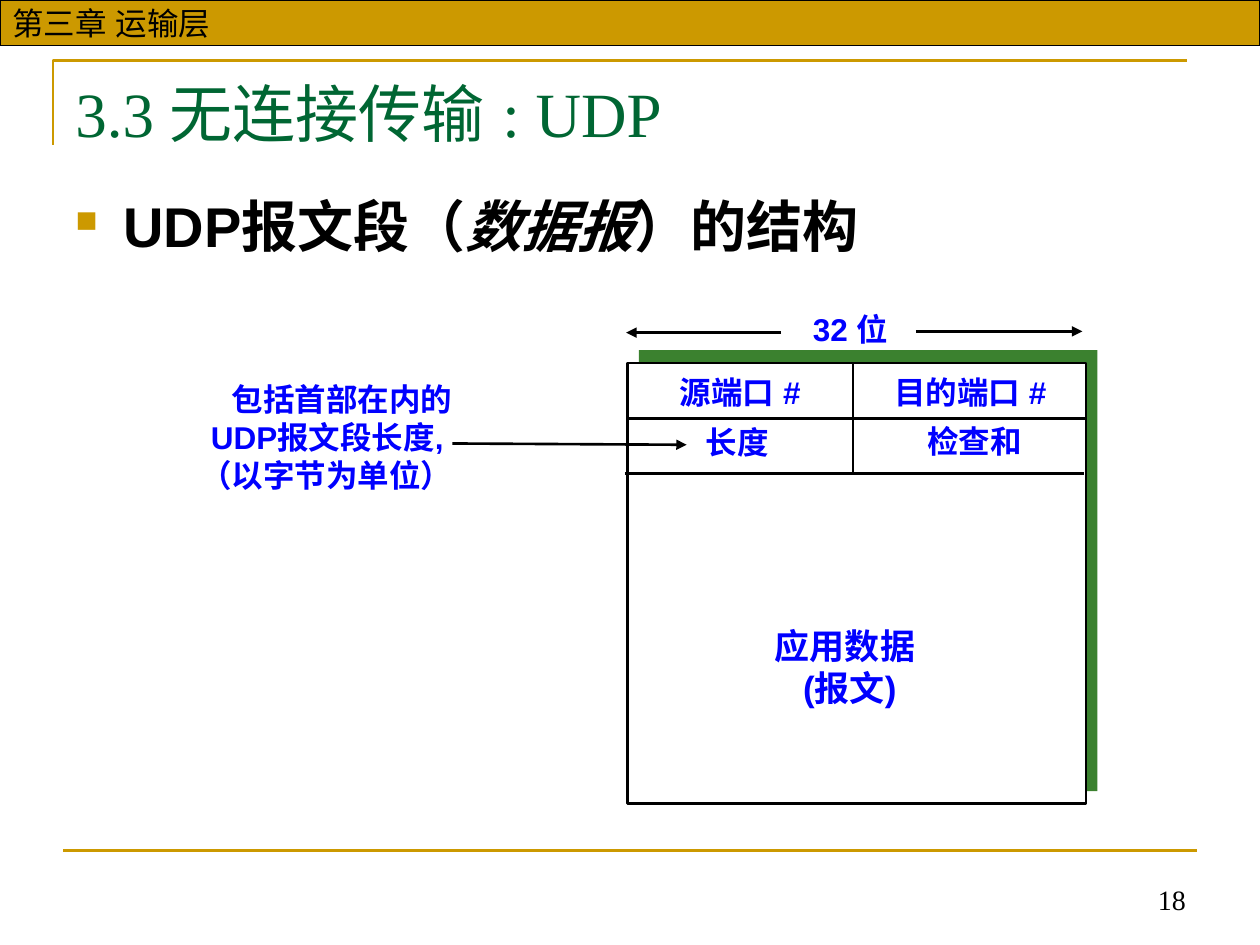
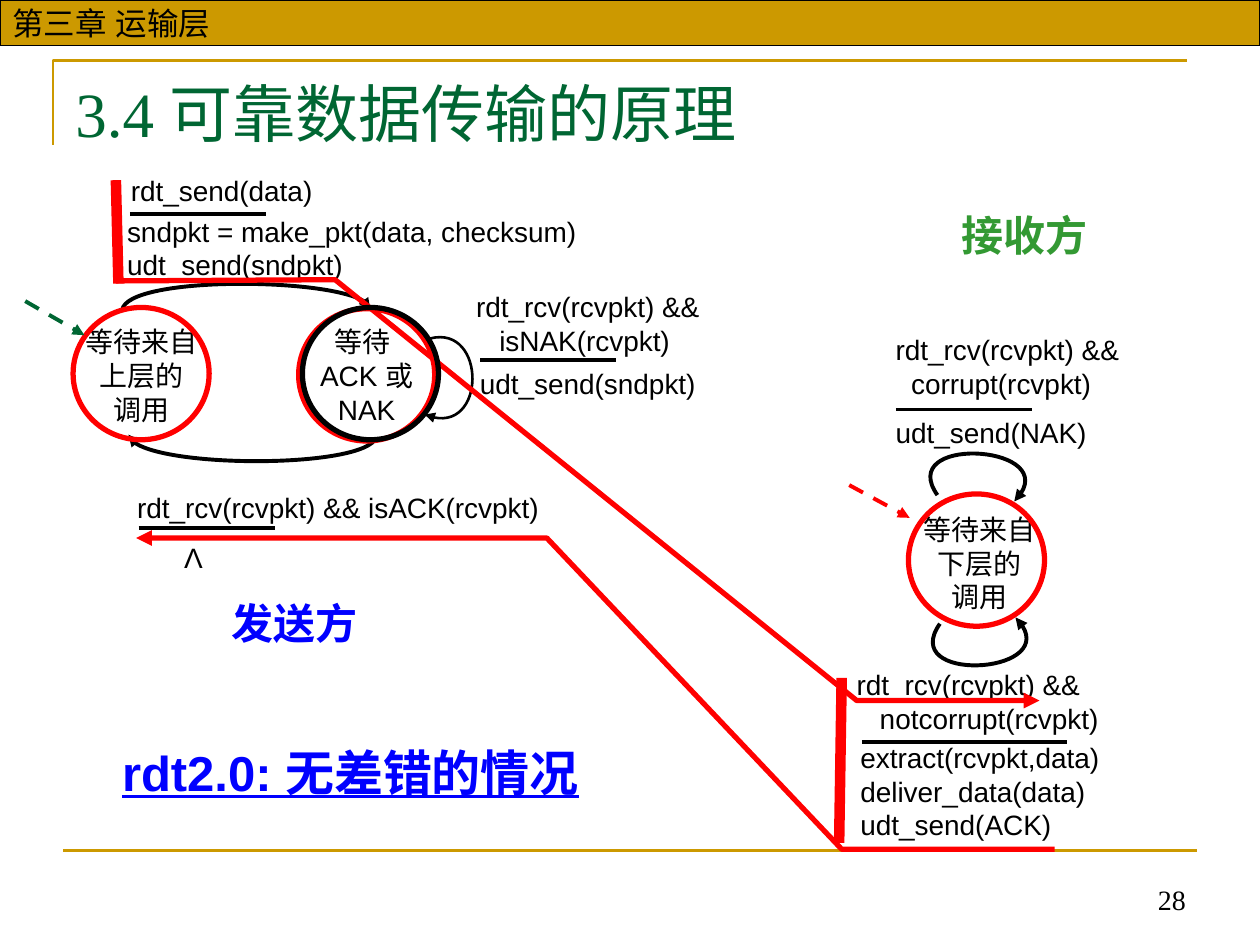
from pptx import Presentation
from pptx.dml.color import RGBColor
from pptx.enum import dml, shapes, text
from pptx.oxml import ns, xmlchemy as xml
from pptx.util import Inches, Pt

GOLD = RGBColor(0xCC, 0x99, 0x00)
DARK = RGBColor(0x00, 0x66, 0x33)
LEAF = RGBColor(0x33, 0x99, 0x33)
SHADE = RGBColor(0x3B, 0x81, 0x2F)
BLUE = RGBColor(0x00, 0x00, 0xFF)
RED = RGBColor(0xFF, 0x00, 0x00)
BLACK = RGBColor(0x00, 0x00, 0x00)
WHITE = RGBColor(0xFF, 0xFF, 0xFF)

SANS = "Arial"
SERIF = "Times New Roman"
LEFT, MID, RIGHT = text.PP_ALIGN.LEFT, text.PP_ALIGN.CENTER, text.PP_ALIGN.RIGHT
TOP, HALF, LOW = (text.MSO_ANCHOR.TOP, text.MSO_ANCHOR.MIDDLE,
                  text.MSO_ANCHOR.BOTTOM)
RECT, OVAL = shapes.MSO_SHAPE.RECTANGLE, shapes.MSO_SHAPE.OVAL


# ---- Elements ----

def node(parent, tag, **attrs):
    """Append a DrawingML element with the given attributes."""
    item = xml.OxmlElement(tag)
    for key, value in attrs.items():
        item.set(key, str(value))
    parent.append(item)
    return item


def add_run(par, words, size, color, bold=False, face=SANS, italic=False,
            under=False):
    run = par.add_run()
    run.text = words
    font = run.font
    font.size, font.bold, font.italic = Pt(size), bold, italic
    font.underline, font.name = under, face
    font.color.rgb = color
    node(run.font._element, "a:ea", typeface=SANS)


def fill_text(frame, lines, size, color, align=LEFT, anchor=TOP, wrap=True,
              **style):
    frame.word_wrap = wrap
    frame.vertical_anchor = anchor
    for i, words in enumerate(lines):
        par = frame.paragraphs[0] if i == 0 else frame.add_paragraph()
        par.alignment = align
        add_run(par, words, size, color, **style)


def add_text(slide, box, lines, size=16, color=BLACK, **style):
    """Text box with one paragraph for each line."""
    shape = slide.shapes.add_textbox(*map(Inches, box))
    fill_text(shape.text_frame, lines, size, color, **style)
    return shape


def add_tag(slide, box, lines, size=18, color=BLUE, align=MID, bold=True):
    """Label that does not wrap and grows with its text."""
    shape = add_text(slide, box, lines, size, color, align=align, bold=bold,
                     wrap=False)
    shape.text_frame.auto_size = text.MSO_AUTO_SIZE.SHAPE_TO_FIT_TEXT


def set_line(shape, color, width, head=False, tail=False):
    shape.line.color.rgb = color
    shape.line.width = Pt(width)
    ln = shape.line._get_or_add_ln()
    for tag, on in (("a:headEnd", head), ("a:tailEnd", tail)):
        if on:
            node(ln, tag, type="triangle")


def add_form(slide, kind, box, fill=None, line=None, width=1.5):
    shape = slide.shapes.add_shape(kind, *map(Inches, box))
    shape.shadow.inherit = False
    if fill is None:
        shape.fill.background()
    else:
        shape.fill.solid()
        shape.fill.fore_color.rgb = fill
    if line is None:
        shape.line.fill.background()
    else:
        set_line(shape, line, width)
    return shape


def add_line(slide, start, end, color=BLACK, width=1.5, tail=False, dash=False):
    link = slide.shapes.add_connector(
        shapes.MSO_CONNECTOR.STRAIGHT, *map(Inches, (*start, *end)))
    if dash:
        link.line.dash_style = dml.MSO_LINE.DASH
    set_line(link, color, width, tail=tail)
    node(link._element.find(ns.qn("p:spPr")), "a:effectLst")


def add_route(slide, points, color, width, head=False, tail=False):
    """Open outline through the points."""
    spots = [(Inches(x), Inches(y)) for x, y in points]
    pen = slide.shapes.build_freeform(*spots[0])
    pen.add_line_segments(spots[1:], close=False)
    shape = pen.convert_to_shape()
    shape.shadow.inherit = False
    shape.fill.background()
    set_line(shape, color, width, head, tail)
    return shape


def add_arc(slide, points, width=2.25, head=False, tail=True):
    """Cubic curve given by its four control points."""
    shape = add_route(slide, points, BLACK, width, head, tail)
    track = next(shape._element.iter(ns.qn("a:path")))
    curve = xml.OxmlElement("a:cubicBezTo")
    for leg in track.findall(ns.qn("a:lnTo")):
        curve.append(leg[0])
        track.remove(leg)
    track.append(curve)


def add_ring(slide, left, top, color):
    add_form(slide, OVAL, (left, top, 1.08, 1.05), line=color, width=3)


# ---- Shared frame ----

def add_page(deck, title, number):
    slide = deck.slides.add_slide(deck.slide_layouts[6])
    add_route(slide, [(0.42, 1.15), (0.42, 0.48), (9.42, 0.48)], GOLD, 1.5)
    add_line(slide, (0.5, 6.75), (9.5, 6.75), GOLD)
    band = add_form(slide, RECT, (0, 0, 10, 0.36), GOLD, BLACK, 0.75)
    fill_text(band.text_frame, ["第三章 运输层"], 18, BLACK, anchor=HALF,
              wrap=False)
    add_text(slide, (6.34, 6.82, 3.17, 0.5), [str(number)], align=RIGHT,
             anchor=LOW, face=SERIF)
    add_text(slide, (0.5, 0.54, 9, 0.77), [title], 36, DARK, face=SERIF)
    return slide


# ---- UDP segment ----

def add_head(slide):
    """Bulleted heading with one italic term."""
    box = slide.shapes.add_textbox(*map(Inches, (0.5, 1.47, 9, 5.2)))
    box.text_frame.word_wrap = True
    par = box.text_frame.paragraphs[0]
    props = par._p.get_or_add_pPr()
    props.set("marL", str(Inches(0.38)))
    props.set("indent", str(Inches(-0.38)))
    node(node(props, "a:buClr"), "a:srgbClr", val=GOLD)
    node(props, "a:buSzPct", val=54000)
    node(props, "a:buChar", char="■")
    for words, slant in (("UDP报文段（", False), ("数据报", True),
                         ("）的结构", False)):
        add_run(par, words, 32, BLACK, bold=True, italic=slant)


def draw_udp(deck):
    slide = add_page(deck, "3.3 无连接传输 : UDP", 18)
    add_head(slide)

    # Segment with its field borders
    add_form(slide, RECT, (5.07, 2.78, 3.64, 3.5), SHADE)
    add_form(slide, RECT, (4.98, 2.88, 3.64, 3.5), WHITE, BLACK)
    add_line(slide, (4.97, 3.32), (8.61, 3.32))
    add_line(slide, (4.96, 3.76), (8.6, 3.76))
    for top, foot in ((2.88, 3.31), (3.33, 3.76)):
        add_line(slide, (6.77, foot), (6.77, top))

    # Field names
    for box, words in (
            ((5.24, 2.91, 1.27, 0.4), "源端口 #"),
            ((6.94, 2.91, 1.52, 0.4), "目的端口 #"),
            ((5.5, 3.31, 0.7, 0.4), "长度"),
            ((7.26, 3.3, 0.95, 0.4), "检查和"),
            ((6.32, 2.41, 0.86, 0.4), "32 位")):
        add_tag(slide, box, [words])
    add_tag(slide, (6.02, 4.91, 1.45, 0.77), ["应用数据 ", "(报文)"], 20)

    # Width arrows and length note
    add_line(slide, (7.27, 2.63), (8.59, 2.63), tail=True)
    add_line(slide, (6.2, 2.64), (4.97, 2.64), tail=True)
    add_tag(slide, (1.46, 2.97, 2.23, 1),
            ["包括首部在内的", "UDP报文段长度, ", "（以字节为单位）"],
            align=RIGHT)
    add_line(slide, (3.59, 3.52), (5.45, 3.53), tail=True)


# ---- State machines ----

def draw_rdt(deck):
    slide = add_page(deck, "3.4 可靠数据传输的原理", 28)

    # Transitions
    add_arc(slide, [(0.97, 2.46), (1.01, 2.19), (2.94, 2.2), (2.94, 2.46)])
    add_arc(slide, [(1.02, 3.45), (1.07, 3.73), (2.99, 3.71), (2.99, 3.45)],
            head=True, tail=False)
    add_arc(slide, [(3.37, 2.7), (3.85, 2.52), (3.88, 3.5), (3.37, 3.29)], 1.5)
    add_arc(slide, [(7.44, 3.93), (7.11, 3.46), (8.49, 3.53), (8.05, 3.98)])
    add_arc(slide, [(7.46, 4.95), (7.13, 5.42), (8.5, 5.35), (8.06, 4.9)])

    # Waiting state covers the ends of its curves
    add_form(slide, OVAL, (2.37, 2.45, 1.08, 1.05), WHITE, BLACK)

    # State names
    for box, lines in (
            ((0.47, 2.53, 1.31, 0.67), ["等待来自", "上层的", "调用"]),
            ((2.32, 2.53, 1.18, 0.67), ["等待 ", "ACK 或 NAK"]),
            ((7.12, 4.02, 1.31, 0.67), ["等待来自", "下层的", "调用"])):
        add_text(slide, box, lines, align=MID)

    # Events and actions
    for box, lines in (
            ((0.94, 1.33, 2.47, 0.47), ["rdt_send(data)"]),
            ((0.91, 1.65, 3.98, 0.44),
             ["sndpkt = make_pkt(data, checksum)", "udt_send(sndpkt)"]),
            ((3.68, 2.25, 2.28, 0.69),
             ["rdt_rcv(rcvpkt) &&", "   isNAK(rcvpkt)"]),
            ((3.71, 2.86, 1.93, 0.44), ["udt_send(sndpkt)"]),
            ((0.99, 3.84, 3.88, 0.31), ["rdt_rcv(rcvpkt) && isACK(rcvpkt)"]),
            ((7.01, 2.59, 2.09, 0.34),
             ["rdt_rcv(rcvpkt) &&", "  corrupt(rcvpkt)"]),
            ((7.01, 3.25, 1.99, 0.28), ["udt_send(NAK)"]),
            ((6.7, 5.25, 2.36, 0.77),
             ["rdt_rcv(rcvpkt) &&", "   notcorrupt(rcvpkt)"]),
            ((6.73, 5.83, 2.34, 0.68),
             ["extract(rcvpkt,data)", "deliver_data(data)", "udt_send(ACK)"])):
        add_text(slide, box, lines)
    add_tag(slide, (1.36, 4.24, 0.35, 0.37), ["Λ"], 16, BLACK, bold=False)

    # Rules between event and action
    for x, y, wide in ((1.03, 1.7, 1.08), (3.81, 2.86, 1.08), (1.1, 4.19, 1.08),
                       (7.11, 3.25, 1.08), (6.84, 5.89, 1.63)):
        add_line(slide, (x, y), (x + wide, y), width=2.25)

    # Error-free course
    add_line(slide, (0.92, 1.43), (0.94, 2.25), RED, 6)
    add_line(slide, (6.68, 5.38), (6.66, 6.69), RED, 6)
    add_route(slide, [(0.92, 2.23), (2.66, 2.22), (6.8, 5.56), (8.25, 5.56)],
              RED, 3, tail=True)
    add_route(slide, [(8.37, 6.74), (6.68, 6.74), (4.34, 4.27), (1.08, 4.27)],
              RED, 3, tail=True)

    # States and entry arrows
    for left, top, color in ((0.58, 2.44, RED), (2.37, 2.45, RED),
                             (2.4, 2.44, BLACK), (7.21, 3.92, RED)):
        add_ring(slide, left, top, color)
    add_line(slide, (0.2, 2.39), (0.67, 2.66), DARK, 2.25, True, True)
    add_line(slide, (6.74, 3.85), (7.22, 4.11), RED, 2.25, True, True)

    # Captions
    add_tag(slide, (1.74, 4.69, 1.2, 0.5), ["发送方"], 24)
    add_tag(slide, (7.53, 1.61, 1.2, 0.5), ["接收方"], 24, LEAF)
    add_text(slide, (0.87, 5.84, 3.92, 0.57), ["rdt2.0: 无差错的情况"], 28,
             BLUE, bold=True, under=True)


def main():
    deck = Presentation()
    deck.slide_width, deck.slide_height = Inches(10), Inches(7.5)
    draw_udp(deck)
    draw_rdt(deck)
    deck.save("out.pptx")


if __name__ == "__main__":
    main()
